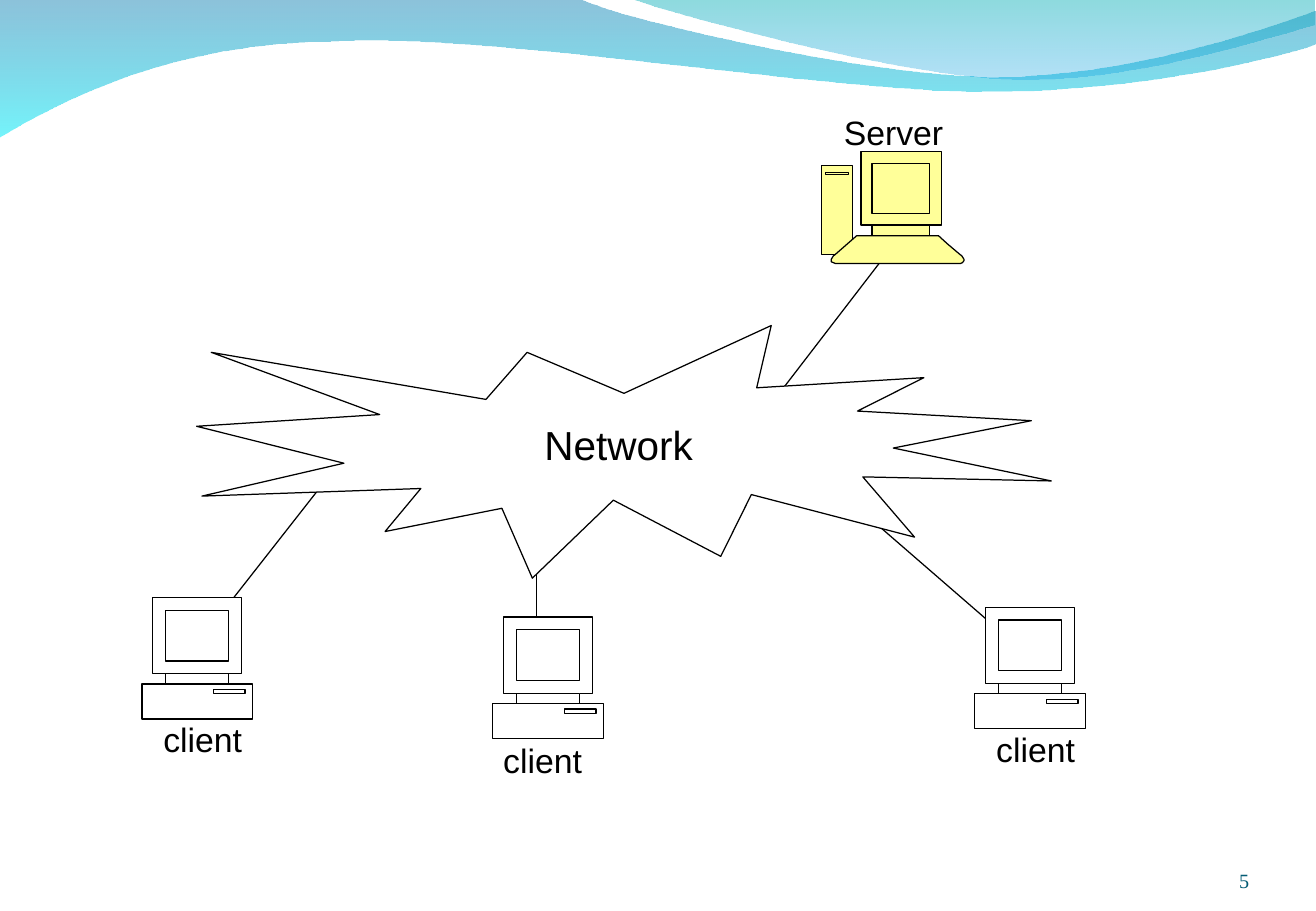
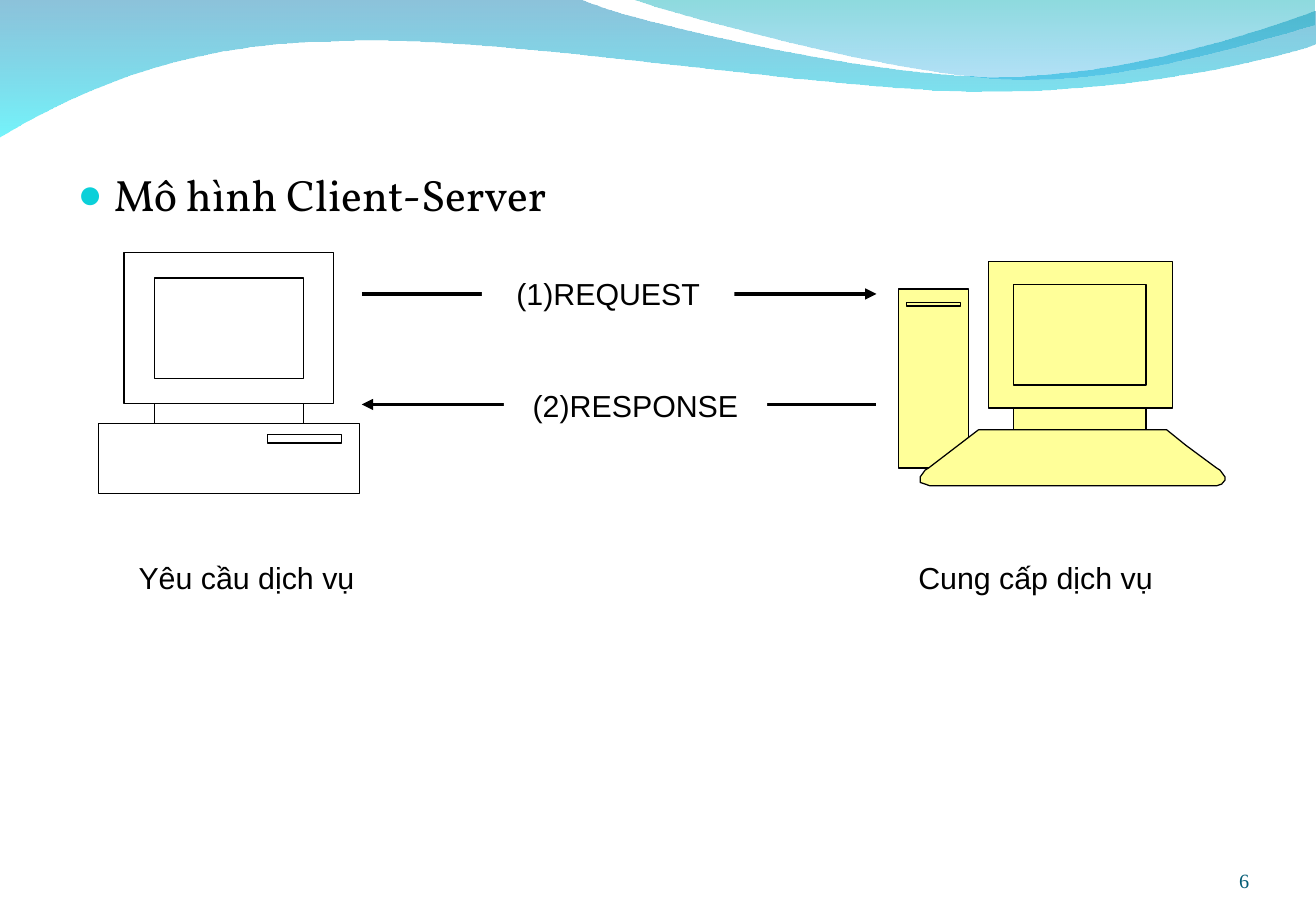
from copy import deepcopy
from lxml.etree import SubElement
from pptx import Presentation
from pptx.dml.color import RGBColor
from pptx.enum.shapes import MSO_CONNECTOR, MSO_SHAPE
from pptx.enum.text import MSO_ANCHOR, PP_ALIGN
from pptx.oxml.ns import qn
from pptx.util import Pt

PX = 9144
WIDE, HIGH = 1084, 750
RECT, BURST = MSO_SHAPE.RECTANGLE, MSO_SHAPE.EXPLOSION1
LINE = MSO_CONNECTOR.STRAIGHT
MID, LOW, TOP = MSO_ANCHOR.MIDDLE, MSO_ANCHOR.BOTTOM, MSO_ANCHOR.TOP
MARGINS = ("margin_left", "margin_top", "margin_right", "margin_bottom")

HUES = {
    "ink": "000000", "paper": "FFFFFF", "server": "FFFF99",
    "page": "045C75", "bullet": "0BD0D9",
    "blue": "0079AF", "cyan": "00EBF8", "teal": "00ADB6", "sky": "009BE5",
}
FORMATS = {
    "net": {"size": Pt(24), "name": "Arial"},
    "label": {"size": Pt(20), "name": "Arial"},
    "talk": {"size": Pt(18), "name": "Arial"},
    "body": {"size": Pt(26), "name": "Vollkorn"},
    "page": {"size": Pt(12), "name": "Times New Roman"},
}
WAVES = [
    ([(0, -1), (477, -1),
      [(515, 17), (719, 63), (822, 63)], [(924, 63), (1038, 26), (1083, 9)],
      (1085, 36),
      [(1065, 44), (942, 76), (808, 75)], [(674, 75), (414, 28), (279, 34)],
      [(140, 35), (50, 83), (-1, 113)]],
     (("blue", 45), ("cyan", 55))),
    ([(519, -1), [(552, 11), (739, 62), (833, 65)],
      [(927, 69), (1042, 32), (1083, 21)], (1083, 0)],
     (("teal", 45), ("sky", 30))),
]


def block(x, y, w, h):
    """Return the corners of a rectangle."""
    return [(x, y), (x + w, y), (x + w, y + h), (x, y + h)]


CLIENT = [
    block(98, 0, 804, 628), block(214, 628, 572, 84), block(0, 712, 1000, 288),
    block(214, 105, 572, 418), block(648, 757, 285, 35),
]
KEYS = [
    (245, 751), (822, 751), (881, 820), (974, 920), (985, 930), (1000, 960),
    (1000, 975), (990, 992), (974, 1000), (97, 1000), (82, 992), (67, 985),
    (67, 960), (82, 930), (93, 920),
]
SERVER = [
    block(0, 124, 216, 796), block(275, 0, 565, 654), block(353, 654, 405, 97),
    KEYS, block(353, 103, 405, 448), block(26, 184, 164, 16),
]


def rgb(hue):
    """Return the named colour."""
    return RGBColor.from_string(HUES[hue])


def emu(*nums):
    """Turn px into EMU."""
    return [round(n * PX) for n in nums]


def apply(item, vals):
    """Set each attribute in a dict."""
    for key, val in vals.items():
        setattr(item, key, val)


def shift(box, left, top, *size):
    """Move a place inside a box to the slide."""
    return (box[0] + left, box[1] + top, *size)


def paint(shape, fill=None, line=None):
    """Give a shape its fill and outline."""
    shape.shadow.inherit = False
    if fill:
        shape.fill.solid()
        shape.fill.fore_color.rgb = rgb(fill)
    else:
        shape.fill.background()
    if line:
        shape.line.color.rgb = rgb(line)
        shape.line.width = Pt(0.75)
    else:
        shape.line.fill.background()


def write(shape, text, style, hue="ink", align=PP_ALIGN.CENTER, anchor=MID,
          wrap=False, pads=(10, 5, 10, 5), bullet=None):
    """Put one styled paragraph in a shape."""
    frame = shape.text_frame
    apply(frame, {"word_wrap": wrap, "vertical_anchor": anchor})
    apply(frame, dict(zip(MARGINS, emu(*pads))))
    para = frame.paragraphs[0]
    para.text = text
    para.alignment = align
    if bullet:
        props = para._p.get_or_add_pPr()
        props.set("marL", str(30 * PX))
        props.set("indent", str(-30 * PX))
        tint = SubElement(props, qn("a:buClr"))
        SubElement(tint, qn("a:srgbClr"), val=HUES["bullet"])
        SubElement(props, qn("a:buSzPct"), val="95000")
        SubElement(props, qn("a:buFont"), typeface="Arial")
        SubElement(props, qn("a:buChar"), char=bullet)
    apply(para.font, FORMATS[style])
    para.font.color.rgb = rgb(hue)


def label(slide, box, text, style, fill=None):
    """Add a centred label."""
    if fill:
        shape = slide.shapes.add_shape(RECT, *emu(*box))
        paint(shape, fill)
    else:
        shape = slide.shapes.add_textbox(*emu(*box))
    write(shape, text, style)


def link(slide, box, start, end, width=0.75, tip=None):
    """Add a straight line with an optional arrow tip."""
    ends = emu(*shift(box, *start), *shift(box, *end))
    line = slide.shapes.add_connector(LINE, *ends)
    line.line.color.rgb = rgb("ink")
    line.line.width = Pt(width)
    props = line.element.spPr
    if tip:
        SubElement(props.find(qn("a:ln")), qn(tip), type="triangle")
    SubElement(props, qn("a:effectLst"))


def trace(slide, loops):
    """Draw closed outlines through px points as one shape."""
    loops = [[emu(*spot) for spot in loop] for loop in loops]
    pen = slide.shapes.build_freeform(*loops[0][0], scale=1.0)
    for loop in loops:
        if loop is not loops[0]:
            pen.move_to(*loop[0])
        pen.add_line_segments(loop[1:], close=True)
    return pen.convert_to_shape()


def layers(shape):
    """Give each outline of a shape its own fill."""
    whole = next(shape.element.iter(qn("a:path")))
    bare = deepcopy(whole)
    for node in list(bare):
        bare.remove(node)
    for node in list(whole):
        if node.tag == qn("a:moveTo"):
            layer = deepcopy(bare)
            whole.getparent().append(layer)
        layer.append(node)
    whole.getparent().remove(whole)


def device(slide, box, loops, fill):
    """Draw a machine given in thousandths of a box."""
    left, top, wide, high = box
    spots = [[(left + x * wide / 1000, top + y * high / 1000)
              for x, y in loop] for loop in loops]
    shape = trace(slide, spots)
    layers(shape)
    paint(shape, fill, "ink")


def bend(shape, route):
    """Turn each listed leg of an outline into a cubic curve."""
    nodes = iter(list(next(shape.element.iter(qn("a:path")))))
    for leg in route:
        node = next(nodes)
        if isinstance(leg, list):
            node.tag = qn("a:cubicBezTo")
            for _ in leg[1:]:
                extra = next(nodes)
                node.append(extra[0])
                extra.getparent().remove(extra)


def wave(slide, box, route, stops):
    """Draw a band with a clear gradient."""
    spots = []
    for leg in route:
        spots.extend(leg if isinstance(leg, list) else [leg])
    shape = trace(slide, [[shift(box, *spot) for spot in spots]])
    bend(shape, route)
    paint(shape)
    shape.fill.gradient()
    shape.fill.gradient_angle = 270
    for stop, (hue, _) in zip(shape.fill.gradient_stops, stops):
        stop.color.rgb = rgb(hue)
    tints = shape.element.spPr.find(qn("a:gradFill")).iter(qn("a:srgbClr"))
    for tint, (_, clear) in zip(list(tints), stops):
        SubElement(tint, qn("a:alpha"), val=str(clear * 1000))


def base(deck, page):
    """Add a slide with its waves and page number."""
    slide = deck.slides.add_slide(deck.slide_layouts[6])
    for route, stops in WAVES:
        wave(slide, (0, 0, WIDE, 113), route, stops)
    note = slide.shapes.add_textbox(*emu(939, 695, 90, 40))
    write(note, str(page), "page", "page", PP_ALIGN.RIGHT, LOW, True, (0,) * 4)
    return slide


def network(slide, box):
    """Draw clients and a server joined by a network."""
    for start, end in [((208, 317), (117, 433)), ((379, 342), (379, 467)),
                       ((632, 333), (767, 450)), ((668, 133), (578, 250))]:
        link(slide, box, start, end)
    device(slide, shift(box, 614, 50, 117, 92), SERVER, "server")
    for spot in [(54, 417), (740, 425), (343, 433)]:
        device(slide, shift(box, *spot, 91, 100), CLIENT, "paper")
    burst = slide.shapes.add_shape(BURST, *emu(*shift(box, 99, 193, 704, 208)))
    paint(burst, "paper", "ink")
    write(burst, "Network", "net")
    for x, y, text in [(686, 508, "client"), (280, 517, "client"),
                       (0, 500, "client"), (569, 0, "Server")]:
        label(slide, shift(box, x, y, 208, 67), text, "label")


def body(slide, box, text):
    """Add the bulleted body text."""
    shape = slide.shapes.add_textbox(*emu(*box))
    write(shape, text, "body", align=PP_ALIGN.LEFT, anchor=TOP, wrap=True,
          bullet="●")


def talk(slide, box):
    """Draw the request and response between two machines."""
    device(slide, shift(box, 659, 7, 269, 185), SERVER, "server")
    device(slide, shift(box, 0, 0, 215, 198), CLIENT, "paper")
    for y, tip in [(34, "a:tailEnd"), (125, "a:headEnd")]:
        link(slide, box, (217, y), (641, y), 2.25, tip)
    for x, y, wide, text in [(316, 0, 208, "(1)REQUEST"),
                             (334, 92, 217, "(2)RESPONSE"),
                             (18, 234, 208, "Yêu cầu dịch vụ"),
                             (668, 234, 208, "Cung cấp dịch vụ")]:
        label(slide, shift(box, x, y, wide, 67), text, "talk", "paper")


def main():
    """Build and save the deck."""
    deck = Presentation()
    apply(deck, dict(zip(("slide_width", "slide_height"), emu(WIDE, HIGH))))
    network(base(deck, 5), (63, 75, 894, 584))
    slide = base(deck, 6)
    body(slide, (54, 133, 975, 545), "Mô hình Client-Server")
    talk(slide, (81, 208, 928, 301))
    deck.save("out.pptx")


if __name__ == "__main__":
    main()
